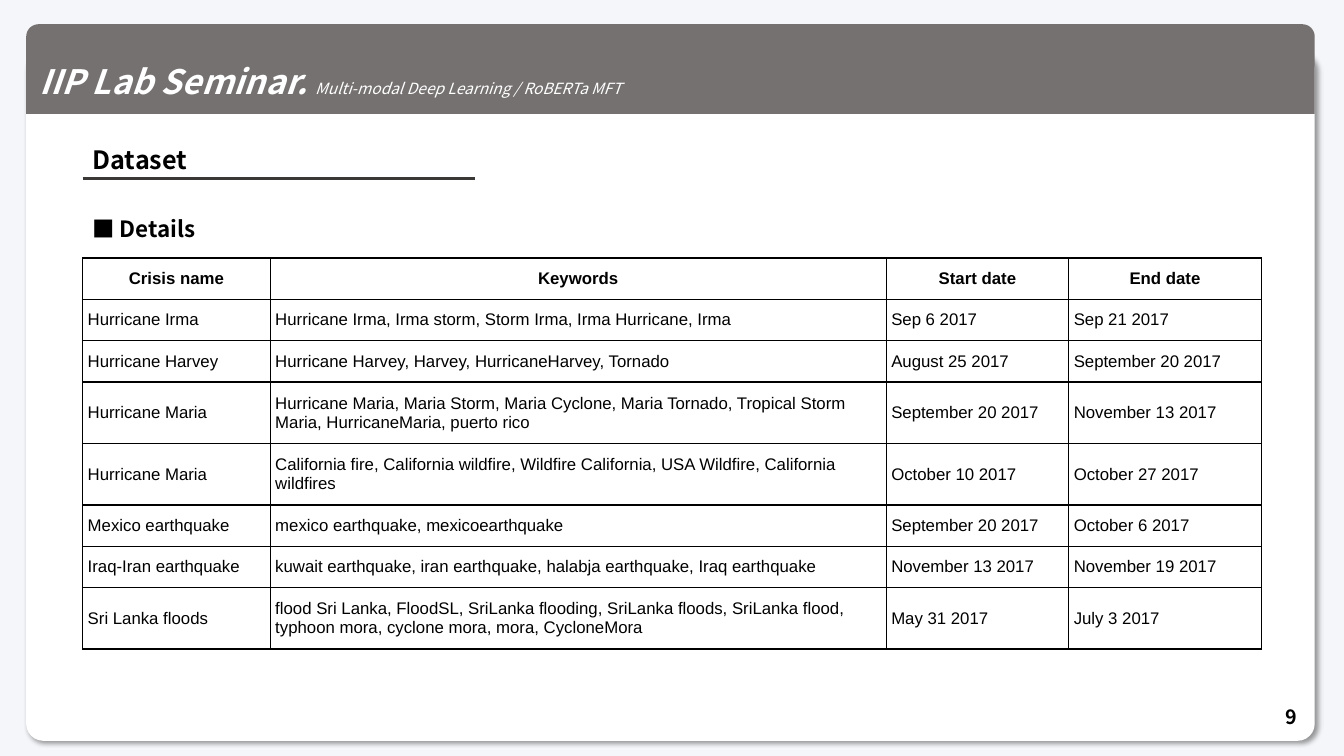
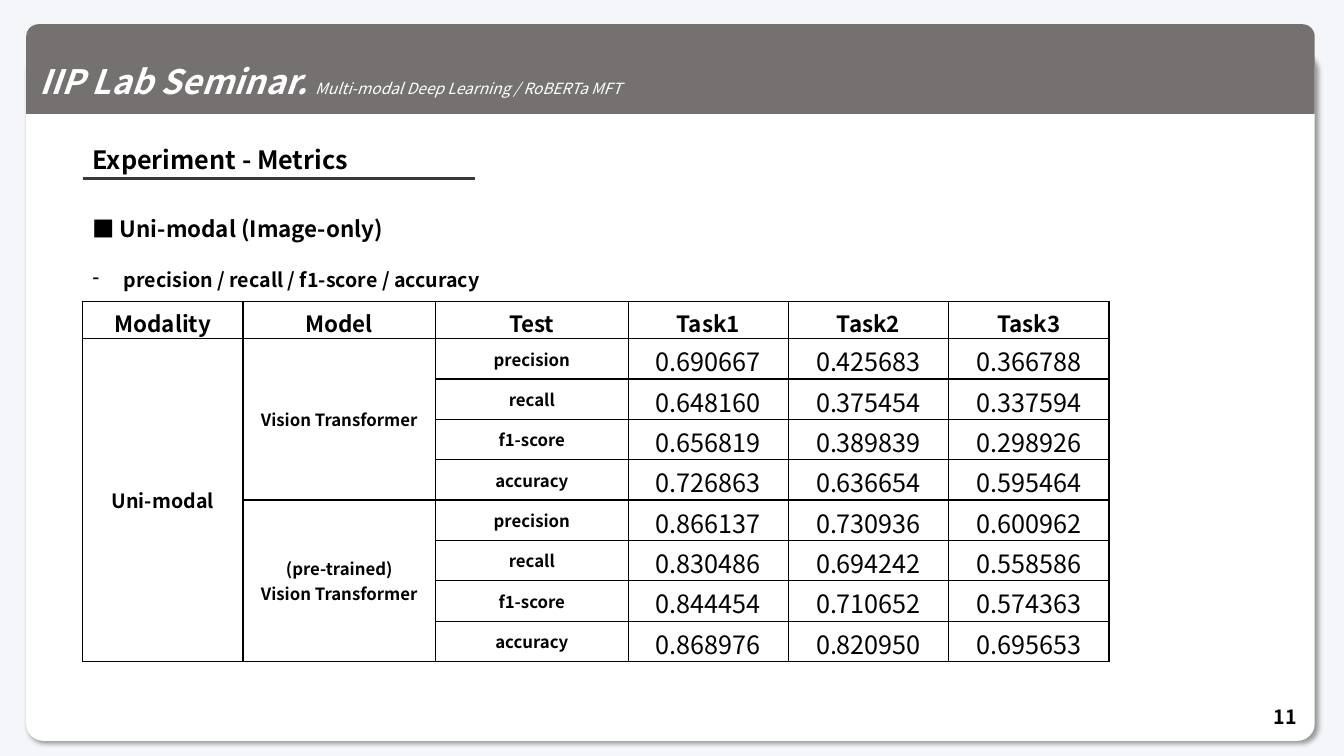
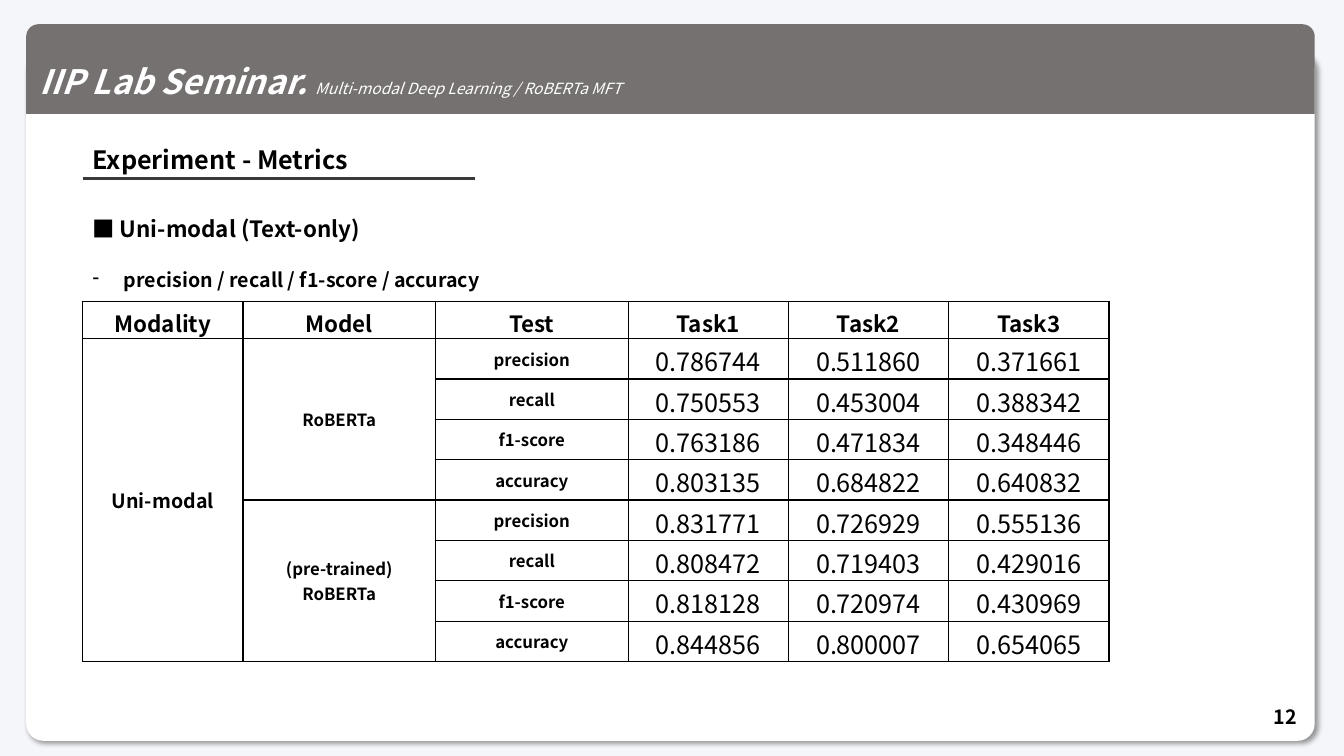
from lxml import etree
from pptx import Presentation
from pptx.dml.color import RGBColor
from pptx.enum.shapes import MSO_CONNECTOR, MSO_SHAPE
from pptx.enum.text import MSO_ANCHOR, PP_ALIGN
from pptx.oxml import parse_xml
from pptx.oxml.ns import nsdecls, qn
from pptx.util import Inches, Pt

ROUND, ROUND_TOP = MSO_SHAPE.ROUNDED_RECTANGLE, MSO_SHAPE.ROUND_2_SAME_RECTANGLE
STRAIGHT = MSO_CONNECTOR.STRAIGHT
LEFT, CENTER, RIGHT = PP_ALIGN.LEFT, PP_ALIGN.CENTER, PP_ALIGN.RIGHT
MIDDLE = MSO_ANCHOR.MIDDLE

SANS, ARIAL = "Noto Sans CJK KR", "Arial"
BACKGROUND, WHITE, BLACK = "F5F6F9", "FFFFFF", "000000"
BAND, RULE = "767171", "3B3838"
THIN, THICK = 1, 2.25
MARGIN, CONTENT_W = 0.82, 11.69
LINE_RATIO = 1.25

CRISES = [
    ("Crisis name", "Keywords", "Start date", "End date"),
    ("Hurricane Irma", "Hurricane Irma, Irma storm, Storm Irma, Irma Hurricane, Irma",
     "Sep 6 2017", "Sep 21 2017"),
    ("Hurricane Harvey", "Hurricane Harvey, Harvey, HurricaneHarvey, Tornado",
     "August 25 2017", "September 20 2017"),
    ("Hurricane Maria", "Hurricane Maria, Maria Storm, Maria Cyclone, Maria Tornado, "
     "Tropical Storm Maria, HurricaneMaria, puerto rico",
     "September 20 2017", "November 13 2017"),
    ("Hurricane Maria", "California fire, California wildfire, Wildfire California, "
     "USA Wildfire, California wildfires",
     "October 10 2017", "October 27 2017"),
    ("Mexico earthquake", "mexico earthquake, mexicoearthquake",
     "September 20 2017", "October 6 2017"),
    ("Iraq-Iran earthquake",
     "kuwait earthquake, iran earthquake, halabja earthquake, Iraq earthquake",
     "November 13 2017", "November 19 2017"),
    ("Sri Lanka floods", "flood Sri Lanka, FloodSL, SriLanka flooding, SriLanka floods, "
     "SriLanka flood, typhoon mora, cyclone mora, mora, CycloneMora",
     "May 31 2017", "July 3 2017"),
]
METRIC_HEADS = ("Modality", "Model", "Test", "Task1", "Task2", "Task3")
TESTS = ("precision", "recall", "f1-score", "accuracy")
IMAGE_SCORES = [
    ("0.690667", "0.425683", "0.366788"),
    ("0.648160", "0.375454", "0.337594"),
    ("0.656819", "0.389839", "0.298926"),
    ("0.726863", "0.636654", "0.595464"),
    ("0.866137", "0.730936", "0.600962"),
    ("0.830486", "0.694242", "0.558586"),
    ("0.844454", "0.710652", "0.574363"),
    ("0.868976", "0.820950", "0.695653"),
]
TEXT_SCORES = [
    ("0.786744", "0.511860", "0.371661"),
    ("0.750553", "0.453004", "0.388342"),
    ("0.763186", "0.471834", "0.348446"),
    ("0.803135", "0.684822", "0.640832"),
    ("0.831771", "0.726929", "0.555136"),
    ("0.808472", "0.719403", "0.429016"),
    ("0.818128", "0.720974", "0.430969"),
    ("0.844856", "0.800007", "0.654065"),
]


def rgb(value):
    return RGBColor.from_string(value)


def add_run(p, text, size, bold=False, italic=False, color=BLACK, font=SANS):
    r = p.add_run()
    r.text = text
    r.font.size = Pt(size)
    r.font.bold = bold
    r.font.italic = italic
    r.font.color.rgb = rgb(color)
    r.font.name = font
    etree.SubElement(r.font._element, qn("a:ea")).set("typeface", font)


def add_panel(s, preset, x, y, w, h, fill, *adjustments):
    sp = s.shapes.add_shape(preset, Inches(x), Inches(y), Inches(w), Inches(h))
    for i, value in enumerate(adjustments):
        sp.adjustments[i] = value
    sp.fill.solid()
    sp.fill.fore_color.rgb = rgb(fill)
    sp.line.fill.background()
    sp.shadow.inherit = False
    return sp


def add_text_box(s, x, y, w, h):
    tf = s.shapes.add_textbox(Inches(x), Inches(y), Inches(w), Inches(h)).text_frame
    tf.word_wrap = True
    return tf


def add_frame(s, x, y, w, h):
    card = add_panel(s, ROUND, x, y + 0.28, w, h - 0.28, WHITE, 0.025)
    effects = card._element.spPr.find(qn("a:effectLst"))
    effects.append(parse_xml(
        f'<a:outerShdw {nsdecls("a")} blurRad="{Pt(4)}" dist="{Pt(3)}" dir="2700000" '
        f'algn="tl" rotWithShape="0"><a:srgbClr val="{BLACK}">'
        '<a:alpha val="40000"/></a:srgbClr></a:outerShdw>'))
    band = add_panel(s, ROUND_TOP, x, y, w, 0.89, BAND, 0.137, 0)
    tf = band.text_frame
    tf.vertical_anchor = MIDDLE
    p = tf.paragraphs[0]
    p.alignment = LEFT
    p.line_spacing = 1.5
    add_run(p, "IIP Lab Seminar. ", 24, True, True, WHITE)
    add_run(p, "Multi-modal Deep Learning / RoBERTa MFT", 11, False, True, WHITE)


def add_title(s, text, x, y, w):
    p = add_text_box(s, x, y, w, 0.4).paragraphs[0]
    p.line_spacing = Pt(18 * LINE_RATIO)
    add_run(p, text, 18, True)
    line = s.shapes.add_connector(STRAIGHT, Inches(x), Inches(y + 0.4),
                                  Inches(x + 3.89), Inches(y + 0.4))
    line.line.color.rgb = rgb(RULE)
    line.line.width = Pt(2.25)
    etree.SubElement(line._element.spPr, qn("a:effectLst"))


def add_section(s, heading, bullet, x, y, w):
    tf = add_text_box(s, x, y, w, 0.88 if bullet else 0.37)
    p = tf.paragraphs[0]
    p.line_spacing = Pt(16 * LINE_RATIO)
    add_run(p, "■ " + heading, 16, True)
    if bullet:
        p = tf.add_paragraph()
        p.space_before = Pt(18)
        p.line_spacing = Pt(14 * LINE_RATIO)
        add_run(p, bullet, 14, True)
        pPr = p._p.get_or_add_pPr()
        pPr.set("marL", str(Inches(0.31)))
        pPr.set("indent", str(Inches(-0.31)))
        etree.SubElement(pPr, qn("a:buFontTx"))
        etree.SubElement(pPr, qn("a:buChar")).set("char", "-")


def add_page_number(s, number, x, y, w, h):
    tf = add_text_box(s, x, y, w, h)
    tf.vertical_anchor = MIDDLE
    p = tf.paragraphs[0]
    p.alignment = RIGHT
    add_run(p, str(number), 14, True)


def add_grid(s, x, y, widths, heights):
    table = s.shapes.add_table(len(heights), len(widths), Inches(x), Inches(y),
                               Inches(sum(widths)), Inches(sum(heights))).table
    table.first_row = table.horz_banding = False
    for column, width in zip(table.columns, widths):
        column.width = Inches(width)
    for row, height in zip(table.rows, heights):
        row.height = Inches(height)
    return table


def set_borders(cell, top=THIN, bottom=THIN):
    cell.fill.background()
    tcPr = cell._tc.get_or_add_tcPr()
    sides = (("L", THIN), ("R", THIN), ("T", top), ("B", bottom))
    for i, (side, width) in enumerate(sides):
        tcPr.insert(i, parse_xml(
            f'<a:ln{side} {nsdecls("a")} w="{Pt(width)}"><a:solidFill>'
            f'<a:srgbClr val="{BLACK}"/></a:solidFill></a:ln{side}>'))


def fill_cell(cell, text, size, bold, font=SANS, align=CENTER, tight=False):
    cell.vertical_anchor = MIDDLE
    tf = cell.text_frame
    for i, line in enumerate(text.split("\n")):
        p = tf.add_paragraph() if i else tf.paragraphs[0]
        p.alignment = align
        if tight:
            p.line_spacing = Pt(size * 1.2)
        add_run(p, line, size, bold, font=font)
    if tight:
        cell.margin_top, cell.margin_bottom = Inches(0.1), 0


def add_crisis_table(s, x, y):
    heights = [0.61 if len(row[1]) > 75 else 0.41 for row in CRISES]
    table = add_grid(s, x, y, (1.86, 6.11, 1.81, 1.91), heights)
    for i, row in enumerate(CRISES):
        for j, text in enumerate(row):
            cell = table.cell(i, j)
            set_borders(cell)
            cell.margin_left = cell.margin_right = Inches(0.05)
            cell.margin_top = cell.margin_bottom = Inches(0.1)
            fill_cell(cell, text, 12, i == 0, ARIAL, LEFT if i else CENTER)


def add_metric_table(s, x, y, model, scores):
    table = add_grid(s, x, y, (1.59, 1.91, 1.91, 1.59, 1.59, 1.59),
                     [0.37] + [0.4] * len(scores))
    n = len(TESTS)
    for i in range(len(scores) + 1):
        for j in range(len(METRIC_HEADS)):
            set_borders(table.cell(i, j),
                        THICK if j and i == n + 1 else THIN,
                        THICK if j and i == n else THIN)
    for j, head in enumerate(METRIC_HEADS):
        fill_cell(table.cell(0, j), head, 16, True, tight=True)
    table.cell(1, 0).merge(table.cell(2 * n, 0))
    fill_cell(table.cell(1, 0), "Uni-modal", 14, True)
    for first, name in ((1, model), (n + 1, "(pre-trained)\n" + model)):
        table.cell(first, 1).merge(table.cell(first + n - 1, 1))
        fill_cell(table.cell(first, 1), name, 12, True)
    for i, values in enumerate(scores):
        fill_cell(table.cell(i + 1, 2), TESTS[i % n], 12, True)
        for j, value in enumerate(values):
            fill_cell(table.cell(i + 1, j + 3), value, 18, False, tight=True)


def add_slide(prs, title, heading, number, bullet=None):
    s = prs.slides.add_slide(prs.slide_layouts[6])
    s.background.fill.solid()
    s.background.fill.fore_color.rgb = rgb(BACKGROUND)
    add_frame(s, 0.26, 0.24, 12.78, 7.11)
    add_title(s, title, MARGIN, 1.37, CONTENT_W)
    add_section(s, heading, bullet, MARGIN, 2.07, CONTENT_W)
    add_page_number(s, number, 9.96, 6.91, 3, 0.4)
    return s


def main():
    prs = Presentation()
    prs.slide_width, prs.slide_height = Inches(13.33), Inches(7.5)
    s = add_slide(prs, "Dataset", "Details", 9)
    add_crisis_table(s, MARGIN, 2.56)
    for number, kind, model, scores in (
            (11, "Image", "Vision Transformer", IMAGE_SCORES),
            (12, "Text", "RoBERTa", TEXT_SCORES)):
        s = add_slide(prs, "Experiment - Metrics", f"Uni-modal ({kind}-only)", number,
                      "precision / recall / f1-score / accuracy")
        add_metric_table(s, MARGIN, 2.99, model, scores)
    prs.save("out.pptx")


if __name__ == "__main__":
    main()
